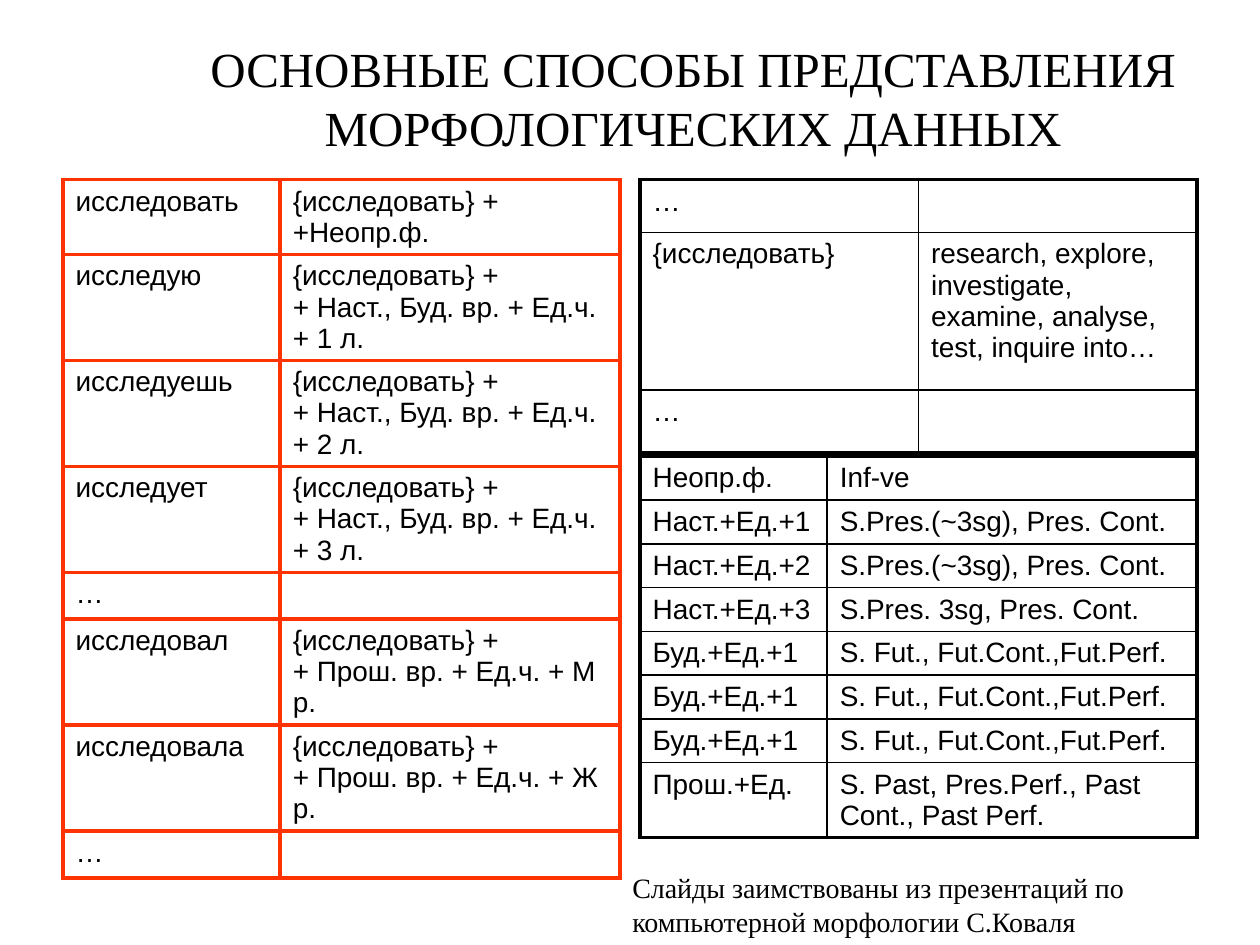
from dataclasses import dataclass
from lxml.etree import SubElement
from pptx import Presentation
from pptx.dml.color import RGBColor
from pptx.enum.text import MSO_ANCHOR, MSO_AUTO_SIZE, PP_ALIGN
from pptx.oxml.ns import qn
from pptx.util import Inches, Pt


@dataclass(frozen=True)
class Theme:
    ink: str = "000000"
    accent: str = "FF3300"
    paper: str = "FFFFFF"
    serif: str = "Times New Roman"
    sans: str = "Arial"
    title_size: int = 28
    body_size: int = 16
    thick: float = 2.25
    thin: float = 1


THEME = Theme()
WIDTH, HEIGHT = 10, 7.5
LEFT, RIGHT, TOP = 0.05, 0.508, 0.19
TABLE_WIDTH = 0.442
LEMMA = "{исследовать} + \v+"

WORD_FORMS = [
    ("исследовать", LEMMA + "Неопр.ф."),
    ("исследую", LEMMA + " Наст., Буд. вр. + Ед.ч. + 1 л."),
    ("исследуешь", LEMMA + " Наст., Буд. вр. + Ед.ч. + 2 л."),
    ("исследует", LEMMA + " Наст., Буд. вр. + Ед.ч. + 3 л."),
    ("…", ""),
    ("исследовал", LEMMA + " Прош. вр. + Ед.ч. + М р."),
    ("исследовала", LEMMA + " Прош. вр. + Ед.ч. + Ж р."),
    ("…", ""),
]
TRANSLATIONS = [
    ("…", ""),
    ("{исследовать}", "research, explore, investigate, examine, analyse, test, inquire into…"),
    ("…", ""),
]
PRESENT = "S.Pres.(~3sg), Pres. Cont."
FUTURE = ("Буд.+Ед.+1", "S. Fut., Fut.Cont.,Fut.Perf.")
TENSES = [
    ("Неопр.ф.", "Inf-ve"),
    ("Наст.+Ед.+1", PRESENT),
    ("Наст.+Ед.+2", PRESENT),
    ("Наст.+Ед.+3", "S.Pres. 3sg, Pres. Cont."),
    *[FUTURE] * 3,
    ("Прош.+Ед.", "S. Past, Pres.Perf., Past Cont., Past Perf."),
]


def place(left, top, width, height):
    return (Inches(left * WIDTH), Inches(top * HEIGHT),
            Inches(width * WIDTH), Inches(height * HEIGHT))


def line_heights(*counts):
    return [0.1 + 0.247 * count for count in counts]


def write(frame, text, font=THEME.sans, size=THEME.body_size, color=THEME.ink,
          align=PP_ALIGN.LEFT, anchor=MSO_ANCHOR.TOP):
    frame.word_wrap = True
    frame.vertical_anchor = anchor
    para = frame.paragraphs[0]
    para.text = text
    para.alignment = align
    for span in para.runs:
        span.font.name = font
        span.font.size = Pt(size)
        span.font.color.rgb = RGBColor.from_string(color)
    for line_break in para._p.findall(qn("a:br")):
        SubElement(line_break, qn("a:rPr"), sz=str(size * 100))
    SubElement(para._p, qn("a:endParaRPr"), sz=str(size * 100))


def draw_borders(cell, color, weights):
    properties = cell._tc.get_or_add_tcPr()
    for side, weight in zip("LRTB", weights):
        line = SubElement(properties, qn(f"a:ln{side}"), w=str(Pt(weight)))
        fill = SubElement(line, qn("a:solidFill"))
        SubElement(fill, qn("a:srgbClr"), val=color)


def add_grid(slide, rows, left, top, first_share, heights,
             color=THEME.ink, inner=THEME.thin, outer=THEME.thick):
    box = place(left, top, TABLE_WIDTH, sum(heights) / HEIGHT)
    table = slide.shapes.add_table(len(rows), 2, *box).table
    table.first_row = table.horz_banding = False
    for column, share in zip(table.columns, (first_share, 1 - first_share)):
        column.width = Inches(TABLE_WIDTH * WIDTH * share)
    last = len(rows) - 1
    for index, (texts, height) in enumerate(zip(rows, heights)):
        table.rows[index].height = Inches(height)
        for column, text in enumerate(texts):
            cell = table.cell(index, column)
            write(cell.text_frame, text)
            edges = (column == 0, column == 1, index == 0, index == last)
            draw_borders(cell, color, [outer if edge else inner for edge in edges])
            cell.fill.background()


def add_title(slide, text):
    title = slide.shapes.title
    title.left, title.top, title.width, title.height = place(0.1, 0.02, 0.9, 0.167)
    title.text_frame.auto_size = MSO_AUTO_SIZE.NONE
    write(title.text_frame, text, font=THEME.serif, size=THEME.title_size,
          align=PP_ALIGN.CENTER, anchor=MSO_ANCHOR.MIDDLE)


def add_note(slide, text):
    box = slide.shapes.add_textbox(*place(0.492, 0.915, 0.5, 0.085))
    write(box.text_frame, text, font=THEME.serif)


def main():
    deck = Presentation()
    deck.slide_width, deck.slide_height = Inches(WIDTH), Inches(HEIGHT)
    page = deck.slides.add_slide(deck.slide_layouts[5])
    page.background.fill.solid()
    page.background.fill.fore_color.rgb = RGBColor.from_string(THEME.paper)
    add_title(page, "ОСНОВНЫЕ СПОСОБЫ ПРЕДСТАВЛЕНИЯ МОРФОЛОГИЧЕСКИХ ДАННЫХ")
    add_grid(page, WORD_FORMS, LEFT, TOP, 0.39, line_heights(2, 3, 3, 3, 1, 3, 3, 1),
             color=THEME.accent, inner=THEME.thick)
    add_grid(page, TRANSLATIONS, RIGHT, TOP, 0.5, [0.42, 1.25, 0.5])
    add_grid(page, TENSES, RIGHT, 0.483, 0.336, line_heights(*[1] * 7, 2))
    add_note(page, "Слайды заимствованы из презентаций по компьютерной морфологии С.Коваля")
    deck.save("out.pptx")


if __name__ == "__main__":
    main()
